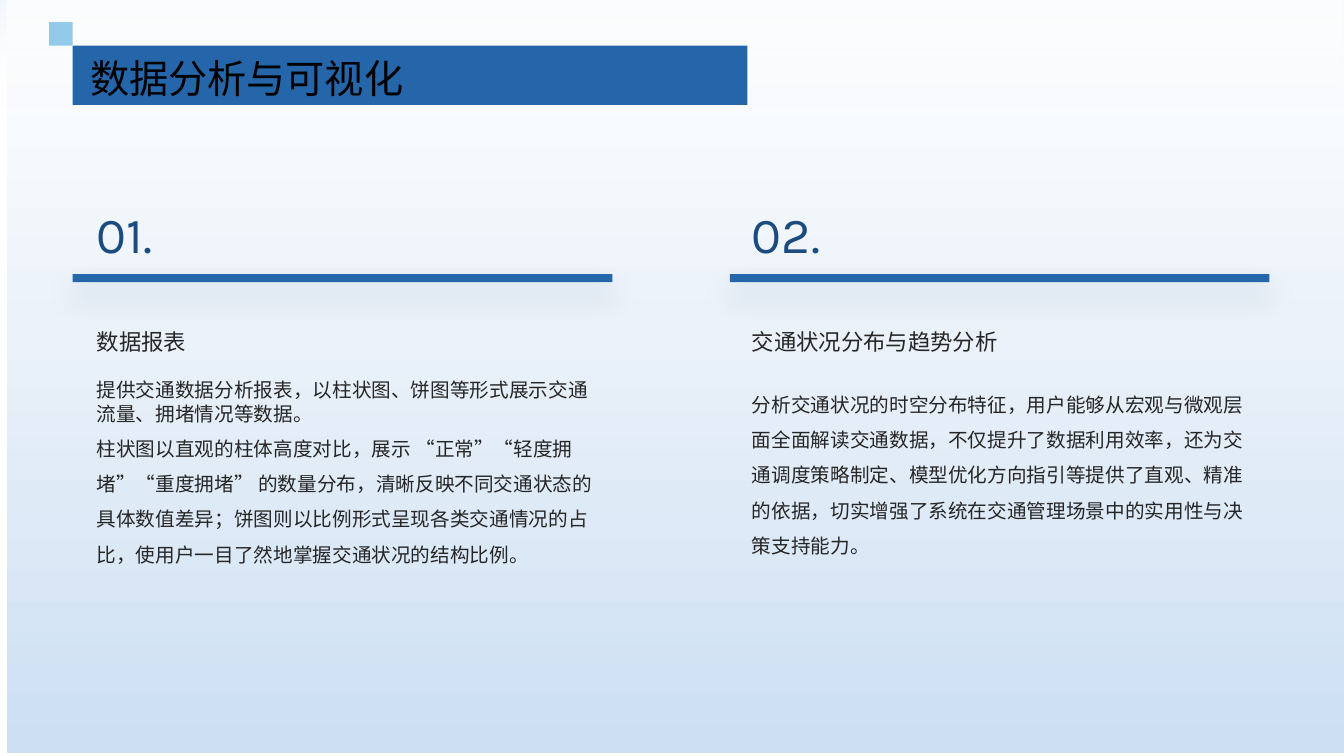
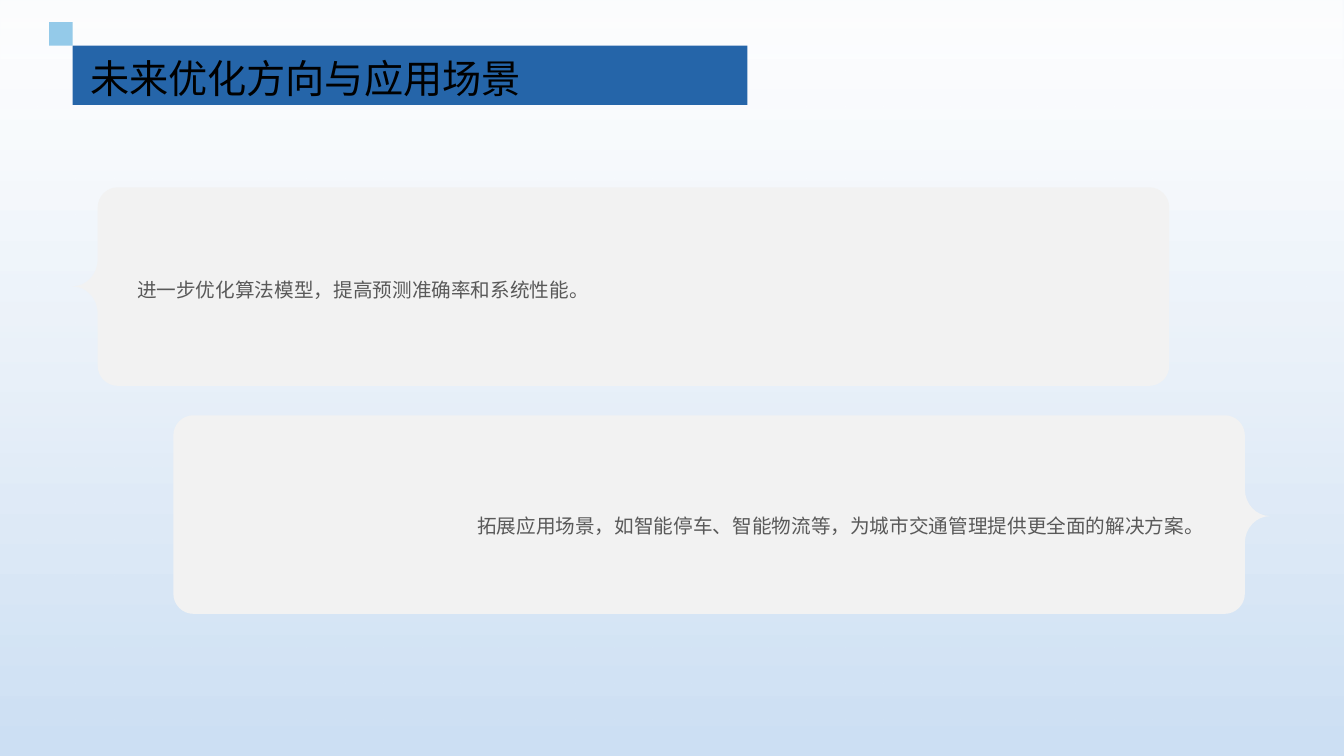
from dataclasses import dataclass
from typing import NamedTuple, Optional

from lxml.etree import Element, SubElement
from pptx import Presentation
from pptx.dml.color import RGBColor
from pptx.dml.fill import FillFormat
from pptx.enum.shapes import MSO_SHAPE
from pptx.enum.text import MSO_ANCHOR as Anchor, PP_ALIGN as Align
from pptx.oxml.ns import qn
from pptx.shapes.autoshape import Shape
from pptx.slide import Slide
from pptx.util import Emu, Inches, Pt

SLIDE_W, SLIDE_H = Inches(13.33), Inches(7.5)
# Lengths are counted in cells of a grid laid over the slide.
COLUMNS, ROWS = 160, 90
CELL_W, CELL_H = SLIDE_W / COLUMNS, SLIDE_H / ROWS
MARGIN = 8.64

WHITE, MIST, SKY = "FFFFFF", "CDE0F4", "94CAE9"
BLUE, NAVY, PANEL = "2565A9", "1C4C7F", "F2F2F2"
BLACK, INK, GREY = "000000", "262626", "595959"
CJK, NUMERAL = "Noto Sans CJK SC", "Karla"


class Point(NamedTuple):
    x: float
    y: float

    def emu(self) -> tuple[int, int]:
        return round(self.x * CELL_W), round(self.y * CELL_H)

    def toward(self, other: "Point", share: float) -> "Point":
        return Point(self.x + share * (other.x - self.x), self.y + share * (other.y - self.y))


class Box(NamedTuple):
    left: float
    top: float
    width: float
    height: float

    def emu(self) -> tuple[Emu, Emu, Emu, Emu]:
        return (Emu(round(self.left * CELL_W)), Emu(round(self.top * CELL_H)),
                Emu(round(self.width * CELL_W)), Emu(round(self.height * CELL_H)))


class Stop(NamedTuple):
    position: float
    colour: str
    opacity: int = 100


class Paragraph(NamedTuple):
    text: str
    spacing: float = 1.5


class Step(NamedTuple):
    """One piece of an outline: a line, or a quarter round bent toward a corner."""
    end: Point
    corner: Optional[Point] = None


@dataclass(frozen=True)
class Topic:
    number: str
    heading: str
    body: list[Paragraph]
    left: float
    inset: float
    body_top: float


@dataclass(frozen=True)
class Bubble:
    text: str
    left: float
    top: float
    text_offset: float
    tail_offset: float
    tail_right: bool


TOPICS = [
    Topic("01.", "数据报表", [
        Paragraph("提供交通数据分析报表，以柱状图、饼图等形式展示交通流量、拥堵情况等数据。", 1.0),
        Paragraph("柱状图以直观的柱体高度对比，展示 “正常”“轻度拥堵”“重度拥堵” 的数量分布，"
                  "清晰反映不同交通状态的具体数值差异；饼图则以比例形式呈现各类交通情况的占比，"
                  "使用户一目了然地掌握交通状况的结构比例。"),
    ], MARGIN, 2.88, 45),
    Topic("02.", "交通状况分布与趋势分析", [
        Paragraph("分析交通状况的时空分布特征，用户能够从宏观与微观层面全面解读交通数据，"
                  "不仅提升了数据利用效率，还为交通调度策略制定、模型优化方向指引等提供了直观、"
                  "精准的依据，切实增强了系统在交通管理场景中的实用性与决策支持能力。"),
    ], 86.88, 2.64, 45.36),
]
BUBBLES = [
    Bubble("拓展应用场景，如智能停车、智能物流等，为城市交通管理提供更全面的解决方案。",
           20.64, 49.44, 2.52, 12, True),
    Bubble("进一步优化算法模型，提高预测准确率和系统性能。",
           11.64, 22.3, 1.64, 11.8, False),
]
BUBBLE_W, BUBBLE_H, CORNER = 127.56, 23.64, 2.4
TAIL_W, TAIL_HALF = 3, 3.2
BUBBLE_INSET = 4.68
ROUNDNESS = 0.55


def rgb(code: str) -> RGBColor:
    return RGBColor.from_string(code)


def set_gradient(fill: FillFormat, stops: list[Stop], clockwise: int) -> None:
    fill.gradient()
    fill.gradient_angle = 360 - clockwise
    for target, stop in zip(fill.gradient_stops, stops):
        target.position = stop.position
        target.color.rgb = rgb(stop.colour)


def finish(shape: Shape, colour: str) -> Shape:
    shape.shadow.inherit = False
    shape.line.fill.background()
    shape.fill.solid()
    shape.fill.fore_color.rgb = rgb(colour)
    return shape


def add_block(slide: Slide, box: Box, colour: str) -> Shape:
    return finish(slide.shapes.add_shape(MSO_SHAPE.RECTANGLE, *box.emu()), colour)


def add_veil(slide: Slide, box: Box, stops: list[Stop], clockwise: int) -> Shape:
    """Lay a translucent gradient over the background."""
    veil = add_block(slide, box, WHITE)
    set_gradient(veil.fill, stops, clockwise)
    for colour, stop in zip(veil.element.iter(qn("a:srgbClr")), stops):
        if stop.opacity < 100:
            SubElement(colour, qn("a:alpha"), val=str(stop.opacity * 1000))
    return veil


def add_soft_shadow(shape: Shape) -> None:
    effects = shape.element.spPr.find(qn("a:effectLst"))
    shadow = SubElement(effects, qn("a:outerShdw"), blurRad=str(Pt(20)), dist=str(Pt(10)),
                        dir="5400000", algn="t", rotWithShape="0")
    colour = SubElement(shadow, qn("a:srgbClr"), val=NAVY)
    SubElement(colour, qn("a:alpha"), val="20000")


def add_text(slide: Slide, box: Box, paragraphs: list[Paragraph], *, size: float,
             colour: str, font: str = CJK, anchor: Anchor = Anchor.TOP,
             align: Align = Align.LEFT) -> None:
    frame = slide.shapes.add_textbox(*box.emu()).text_frame
    frame.word_wrap = True
    frame.vertical_anchor = anchor
    frame.margin_left = frame.margin_right = frame.margin_top = frame.margin_bottom = 0
    for index, (text, spacing) in enumerate(paragraphs):
        paragraph = frame.add_paragraph() if index else frame.paragraphs[0]
        paragraph.alignment = align
        paragraph.line_spacing = spacing
        run = paragraph.add_run()
        run.text = text
        run.font.size = Pt(size)
        run.font.name = font
        run.font.color.rgb = rgb(colour)
        SubElement(run.font._element, qn("a:ea"), typeface=font)


def add_title(slide: Slide, title: str) -> None:
    add_block(slide, Box(5.86, 2.62, 2.8, 2.8), SKY)
    add_block(slide, Box(MARGIN, 5.42, 80.34, 7.08), BLUE)
    add_text(slide, Box(10.72, 5.88, 140.4, 6.12), [Paragraph(title, 1.1)],
             size=28, colour=BLACK, anchor=Anchor.MIDDLE)


def add_topic(slide: Slide, topic: Topic) -> None:
    text_left, text_width = topic.left + topic.inset, 59.04
    add_text(slide, Box(text_left, 24.18, text_width, 7.44), [Paragraph(topic.number, 1.0)],
             size=36, colour=NAVY, font=NUMERAL)
    add_soft_shadow(add_block(slide, Box(topic.left, 32.64, 64.26, 0.96), BLUE))
    add_text(slide, Box(text_left, 35.88, text_width, 8.64), [Paragraph(topic.heading, 1.3)],
             size=16, colour=INK, anchor=Anchor.MIDDLE)
    add_text(slide, Box(text_left, topic.body_top, text_width, 25.32), topic.body,
             size=14, colour=INK)


def bubble_outline(bubble: Bubble) -> list[Step]:
    def at(x: float, y: float) -> Point:
        return Point(bubble.left + (x if bubble.tail_right else BUBBLE_W - x), bubble.top + y)

    right, bottom, tail = BUBBLE_W, BUBBLE_H, bubble.tail_offset
    return [
        Step(at(CORNER, 0)),
        Step(at(right - CORNER, 0)),
        Step(at(right, CORNER), at(right, 0)),
        Step(at(right, tail - TAIL_HALF)),
        Step(at(right + TAIL_W, tail), at(right, tail)),
        Step(at(right, tail + TAIL_HALF), at(right, tail)),
        Step(at(right, bottom - CORNER)),
        Step(at(right - CORNER, bottom), at(right, bottom)),
        Step(at(CORNER, bottom)),
        Step(at(0, bottom - CORNER), at(0, bottom)),
        Step(at(0, CORNER)),
        Step(at(CORNER, 0), at(0, 0)),
    ]


def add_bubble_panel(slide: Slide, bubble: Bubble) -> None:
    outline = bubble_outline(bubble)
    builder = slide.shapes.build_freeform(*outline[0].end.emu())
    builder.add_line_segments([step.end.emu() for step in outline[1:]], close=True)
    panel = finish(builder.convert_to_shape(), PANEL)
    lines = list(panel.element.iter(qn("a:lnTo")))
    for line, before, step in zip(lines, outline, outline[1:]):
        if step.corner:
            curve = Element(qn("a:cubicBezTo"))
            for point in (before.end.toward(step.corner, ROUNDNESS),
                          step.end.toward(step.corner, ROUNDNESS), step.end):
                x, y = point.emu()
                SubElement(curve, qn("a:pt"), x=str(x - panel.left), y=str(y - panel.top))
            line.getparent().replace(line, curve)


def add_bubble_text(slide: Slide, bubble: Bubble) -> None:
    box = Box(bubble.left + BUBBLE_INSET, bubble.top + bubble.text_offset, 118.08, 19.8)
    add_text(slide, box, [Paragraph(bubble.text)], size=14, colour=GREY,
             anchor=Anchor.MIDDLE, align=Align.RIGHT if bubble.tail_right else Align.LEFT)


def main() -> None:
    deck = Presentation()
    deck.slide_width, deck.slide_height = SLIDE_W, SLIDE_H
    master = deck.slide_master
    set_gradient(master.background.fill, [Stop(0.85, WHITE), Stop(1, MIST)], 270)
    blank = deck.slide_layouts[6]
    wash = [Stop(0, WHITE, 77), Stop(1, MIST)]

    analysis = deck.slides.add_slide(blank)
    shared_veil = add_veil(analysis, Box(0, 0, COLUMNS, ROWS),
                           [Stop(0.85, WHITE), Stop(1, WHITE, 75)], 270).element
    shared_veil.nvSpPr.cNvPr.set("id", "20")
    master.shapes.element.insert(2, shared_veil)  # behind everything on the master

    add_veil(analysis, Box(0.84, -0.54, 160.2, 90.12), wash, 90)
    for topic in TOPICS:
        add_topic(analysis, topic)
    add_title(analysis, "数据分析与可视化")

    outlook = deck.slides.add_slide(blank)
    add_veil(outlook, Box(-0.12, -0.12, 160.2, 90.12), wash, 90)
    for bubble in BUBBLES:
        add_bubble_panel(outlook, bubble)
    for bubble in reversed(BUBBLES):
        add_bubble_text(outlook, bubble)
    add_title(outlook, "未来优化方向与应用场景")

    deck.save("out.pptx")


if __name__ == "__main__":
    main()
